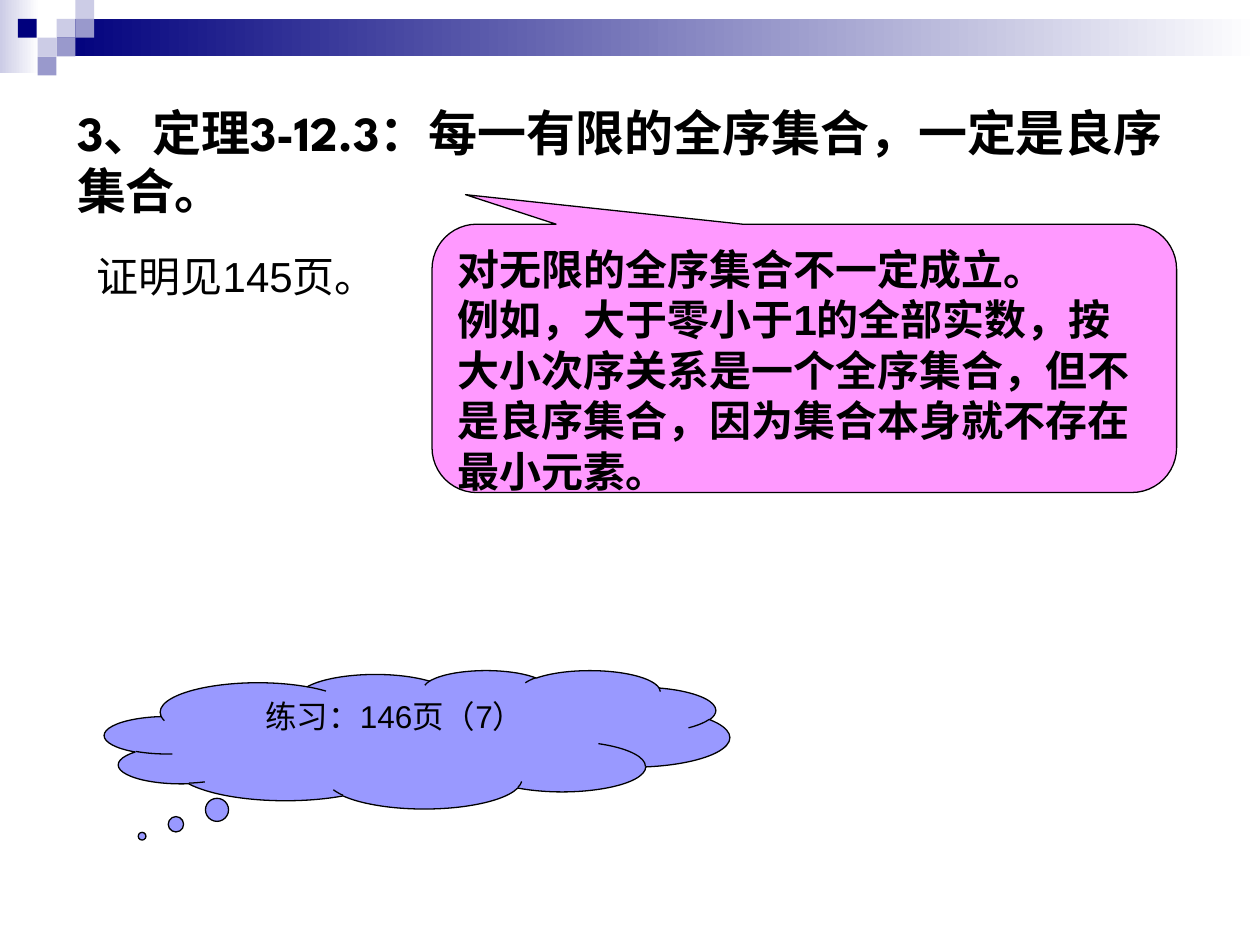
from dataclasses import dataclass

from pptx import Presentation
from pptx.dml.color import RGBColor
from pptx.enum.shapes import MSO_SHAPE
from pptx.enum.text import MSO_ANCHOR, MSO_AUTO_SIZE, PP_ALIGN
from pptx.util import Cm, Pt

NAVY = RGBColor(0x00, 0x00, 0x7D)
LAVENDER = RGBColor(0xCC, 0xCC, 0xE6)
VIOLET = RGBColor(0x99, 0x99, 0xCC)
CLOUD_BLUE = RGBColor(0x99, 0x99, 0xFF)
PINK = RGBColor(0xFF, 0x99, 0xFF)
WHITE = RGBColor(0xFF, 0xFF, 0xFF)
BLACK = RGBColor(0x00, 0x00, 0x00)

TILE = 0.38  # side of a mosaic tile in centimetres


@dataclass
class Area:
    left: float
    top: float
    width: float
    height: float

    def lengths(self) -> tuple:
        return Cm(self.left), Cm(self.top), Cm(self.width), Cm(self.height)


@dataclass
class Tile:
    column: float
    row: int
    color: RGBColor


@dataclass
class Callout:
    preset: MSO_SHAPE
    area: Area
    adjustments: tuple
    color: RGBColor


TILES = [
    Tile(3, 1, LAVENDER),
    Tile(4, 0, LAVENDER),
    Tile(4, 1, VIOLET),
    Tile(2, 2, LAVENDER),
    Tile(0.95, 1, NAVY),
    Tile(3, 2, VIOLET),
    Tile(2, 3, VIOLET),
]


def add_plain_shape(page, preset: MSO_SHAPE, area: Area):
    shape = page.shapes.add_shape(preset, *area.lengths())
    shape.shadow.inherit = False
    shape.line.fill.background()
    return shape


def add_fade(page, area: Area, color: RGBColor) -> None:
    fill = add_plain_shape(page, MSO_SHAPE.RECTANGLE, area).fill
    fill.gradient()
    fill.gradient_angle = 0
    for stop, stop_color in zip(fill.gradient_stops, (color, WHITE)):
        stop.color.rgb = stop_color


def add_tile(page, tile: Tile) -> None:
    area = Area(tile.column * TILE, tile.row * TILE, TILE, TILE)
    shape = add_plain_shape(page, MSO_SHAPE.RECTANGLE, area)
    shape.fill.solid()
    shape.fill.fore_color.rgb = tile.color


def add_callout(page, callout: Callout):
    shape = add_plain_shape(page, callout.preset, callout.area)
    for index, value in enumerate(callout.adjustments):
        shape.adjustments[index] = value
    shape.fill.solid()
    shape.fill.fore_color.rgb = callout.color
    shape.line.color.rgb = BLACK
    shape.line.width = Pt(0.75)
    return shape


def write(box, *texts: str, size: float, font: str = "Arial", bold: bool = False,
          align: PP_ALIGN = PP_ALIGN.LEFT) -> None:
    frame = box.text_frame
    frame.word_wrap = True
    frame.auto_size = MSO_AUTO_SIZE.NONE
    frame.vertical_anchor = MSO_ANCHOR.TOP
    for index, text in enumerate(texts):
        para = frame.paragraphs[0] if index == 0 else frame.add_paragraph()
        para.alignment = align
        span = para.add_run()
        span.text = text
        span.font.size = Pt(size)
        span.font.name = font
        span.font.bold = bold
        span.font.color.rgb = BLACK


def main() -> None:
    deck = Presentation()
    deck.slide_width, deck.slide_height = Cm(25.4), Cm(19.05)
    page = deck.slides.add_slide(deck.slide_layouts[5])

    # Header band and mosaic
    add_fade(page, Area(0, 0, 0.79, 1.47), LAVENDER)
    add_fade(page, Area(3 * TILE, TILE, 25.4 - 3 * TILE, 2 * TILE), NAVY)
    for tile in TILES:
        add_tile(page, tile)

    # Theorem
    title = page.shapes.title
    title.left, title.top, title.width, title.height = Area(1.3, 1.93, 23.01, 2.64).lengths()
    write(title, "3、定理3-12.3：每一有限的全序集合，一定是良序集合。",
          size=28, font="League Spartan", bold=True)

    # Proof reference
    proof = page.shapes.add_textbox(*Area(1.7, 4.93, 12.6, 1.27).lengths())
    write(proof, "证明见145页。", size=24)

    # Exercise cloud
    cloud = add_callout(page, Callout(
        MSO_SHAPE.CLOUD_CALLOUT, Area(2.11, 13.51, 12.6, 2.79), (-0.44, 0.7), CLOUD_BLUE))
    write(cloud, "练习：146页（7）", size=18, align=PP_ALIGN.CENTER)

    # Remark on infinite sets
    remark = add_callout(page, Callout(
        MSO_SHAPE.ROUNDED_RECTANGULAR_CALLOUT, Area(8.71, 4.52, 15.01, 5.41),
        (-0.455, -0.61, 0.167), PINK))
    write(remark, "对无限的全序集合不一定成立。",
          "例如，大于零小于1的全部实数，按大小次序关系是一个全序集合，"
          "但不是良序集合，因为集合本身就不存在最小元素。",
          size=24, bold=True)

    deck.save("out.pptx")


if __name__ == "__main__":
    main()
